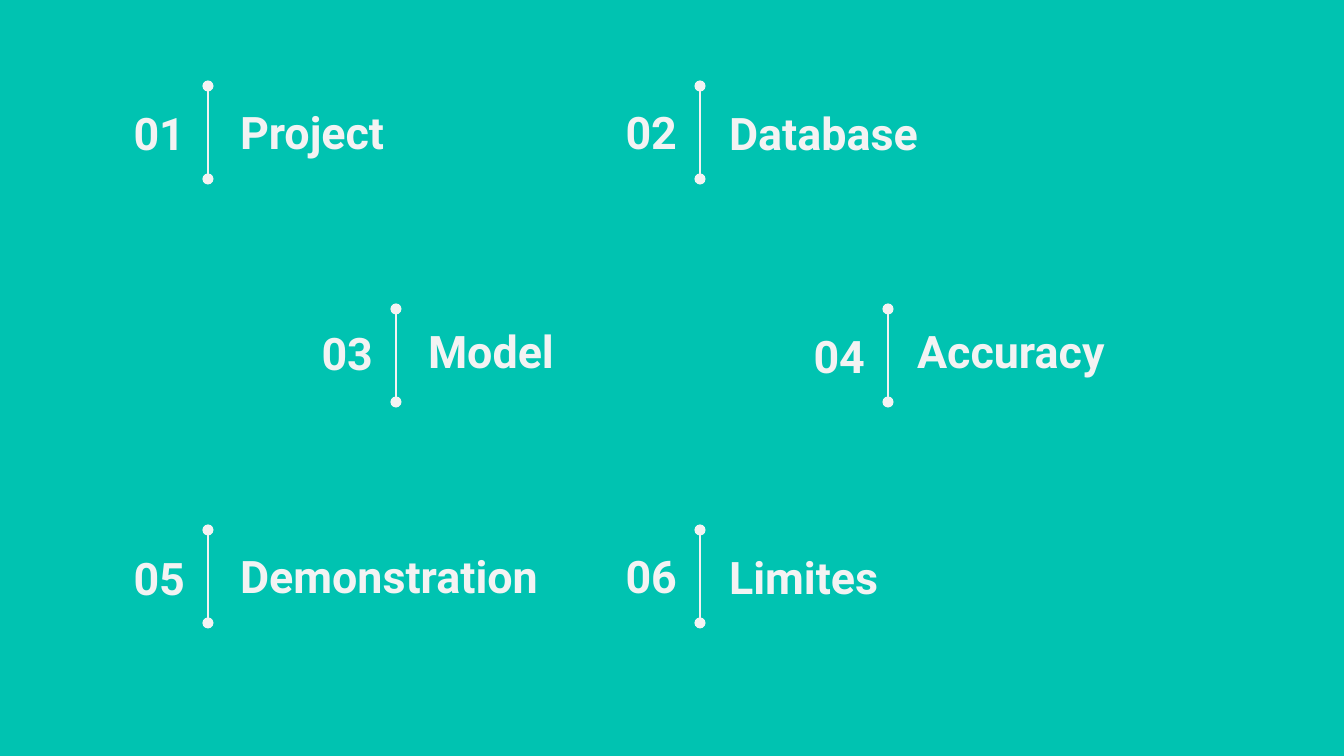
from lxml import etree
from pptx import Presentation
from pptx.dml.color import RGBColor
from pptx.enum.shapes import MSO_CONNECTOR
from pptx.enum.text import MSO_ANCHOR, PP_ALIGN
from pptx.oxml.ns import qn
from pptx.util import Pt

STRAIGHT = MSO_CONNECTOR.STRAIGHT
MIDDLE = MSO_ANCHOR.MIDDLE
LEFT, RIGHT = PP_ALIGN.LEFT, PP_ALIGN.RIGHT

TEAL, PALE = "00C3B1", "F3F3F3"
ROWS = [
    {"top": 86, "indent": 0, "items": [("01", 102, "Project", 101), ("02", 101, "Database", 102)]},
    {"top": 309, "indent": 188, "items": [("03", 322, "Model", 320), ("04", 325, "Accuracy", 320)]},
    {"top": 530, "indent": 0, "items": [("05", 547, "Demonstration", 545), ("06", 545, "Limites", 546)]},
]
LINE_X, COLUMN_STEP, LINE_H = 208, 492, 93
NUMBER_OFFSET, LABEL_OFFSETS = -99, (19, 16)
NUMBER_W, LABEL_W, TEXT_H, INSET = 89, 344, 62, 13


def px(n):
    return round(n * 914400 / 134.4)


def color(value):
    return RGBColor.from_string(value)


def add_text(s, text, x, y, w, align):
    tf = s.shapes.add_textbox(px(x), px(y), px(w), px(TEXT_H)).text_frame
    tf.word_wrap = True
    tf.vertical_anchor = MIDDLE
    tf.margin_left = tf.margin_right = tf.margin_top = tf.margin_bottom = px(INSET)
    p = tf.paragraphs[0]
    p.text = text
    p.alignment = align
    p.font.name = "Roboto"
    p.font.size = Pt(24)
    p.font.bold = True
    p.font.color.rgb = color(PALE)


def add_divider(s, x, y):
    line = s.shapes.add_connector(STRAIGHT, px(x), px(y), px(x), px(y + LINE_H))
    line.line.color.rgb = color(PALE)
    line.line.width = Pt(1.5)
    sp_pr = line.element.spPr
    ln = sp_pr.find(qn("a:ln"))
    for end in ("a:headEnd", "a:tailEnd"):
        etree.SubElement(ln, qn(end), type="oval")
    etree.SubElement(sp_pr, qn("a:effectLst"))


prs = Presentation()
prs.slide_width, prs.slide_height = px(1344), px(756)
s = prs.slides.add_slide(prs.slide_layouts[6])
s.background.fill.solid()
s.background.fill.fore_color.rgb = color(TEAL)

for row in ROWS:
    for column, (number, number_y, label, label_y) in enumerate(row["items"]):
        x = LINE_X + row["indent"] + column * COLUMN_STEP
        add_text(s, number, x + NUMBER_OFFSET, number_y, NUMBER_W, RIGHT)
        add_divider(s, x, row["top"])
        add_text(s, label, x + LABEL_OFFSETS[column], label_y, LABEL_W, LEFT)

prs.save("out.pptx")
